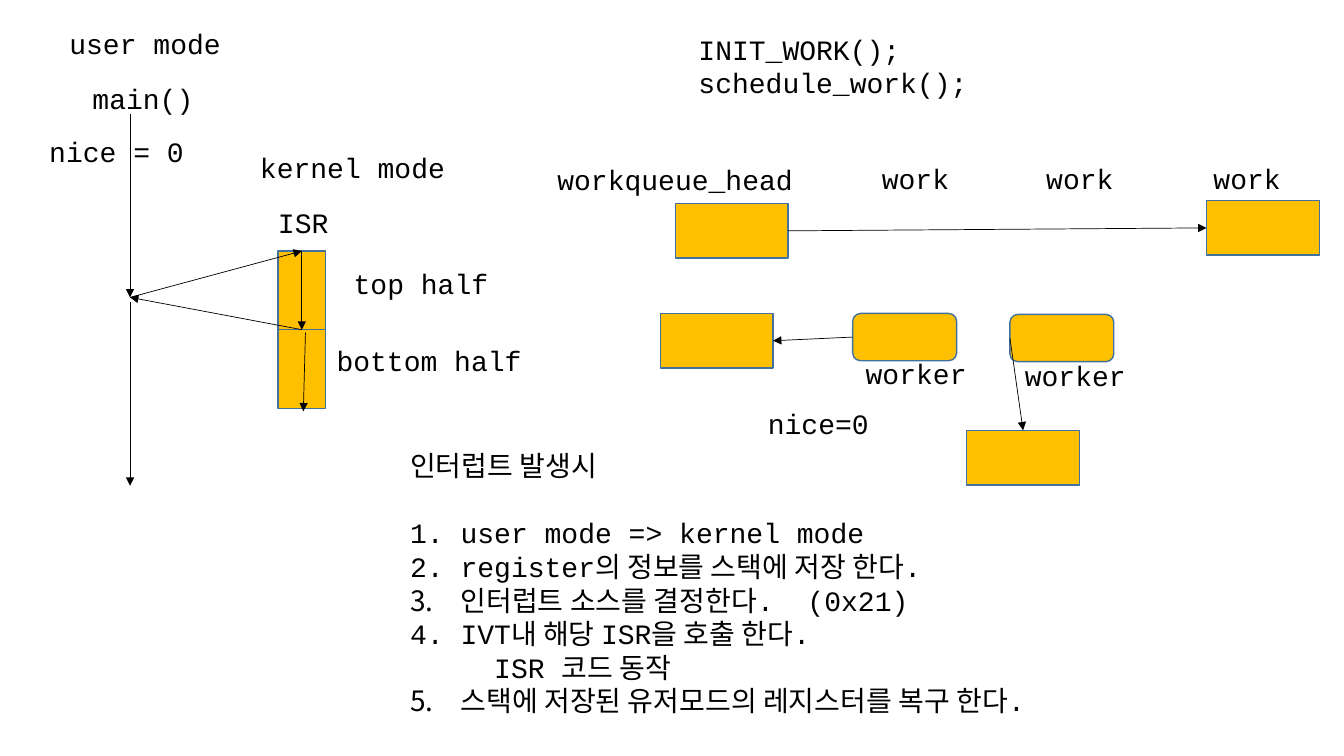
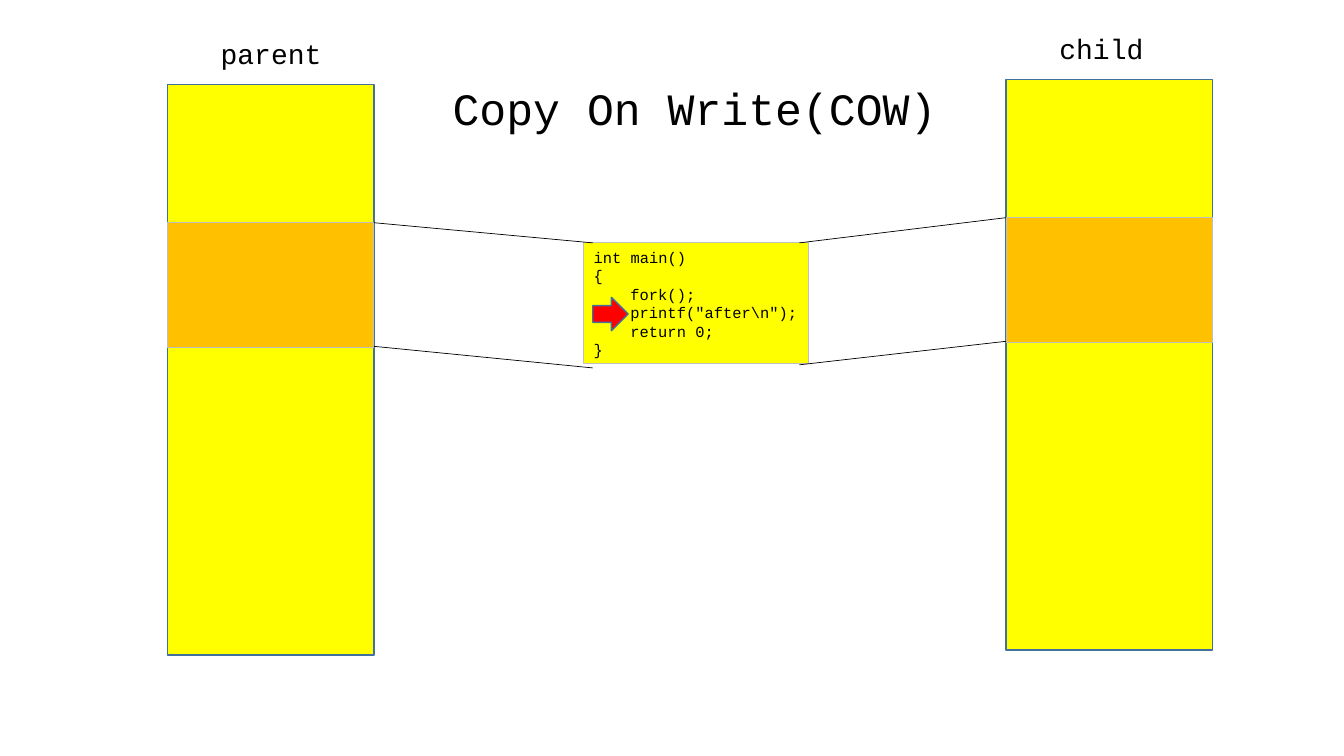
from lxml.etree import SubElement
from pptx import Presentation
from pptx.dml.color import RGBColor
from pptx.enum.shapes import MSO_CONNECTOR, MSO_SHAPE as Preset
from pptx.enum.text import MSO_ANCHOR, MSO_AUTO_SIZE, PP_ALIGN
from pptx.oxml.ns import qn
from pptx.util import Pt

BLACK = RGBColor(0x00, 0x00, 0x00)
ORANGE = RGBColor(0xFF, 0xC0, 0x00)
YELLOW = RGBColor(0xFF, 0xFF, 0x00)
RED = RGBColor(0xFF, 0x00, 0x00)
BLUE = RGBColor(0x41, 0x71, 0x9C)
GREY = RGBColor(0xBF, 0xBF, 0xBF)

FONT = "Courier New"
TEXT_SIZE, TITLE_SIZE, CODE_SIZE = 20, 32, 11
ADVANCE = 0.6  # character width of the fixed-pitch font, per point of size
TITLE_AND_BODY, TITLE_ONLY = 1, 5
TOP, LEFT, BOTTOM, RIGHT = range(4)


class Deck:
    """Holds the common style and the slide being drawn."""

    def __init__(self):
        self.presentation = Presentation()
        self.presentation.slide_width = Pt(960)
        self.presentation.slide_height = Pt(540)
        self.slide = None

    def new_slide(self, layout):
        layouts = self.presentation.slide_layouts
        self.slide = self.presentation.slides.add_slide(layouts[layout])

    def style_text(self, shape, size, wrap=False):
        frame = shape.text_frame
        frame.word_wrap = wrap
        frame.auto_size = MSO_AUTO_SIZE.NONE
        frame.vertical_anchor = MSO_ANCHOR.TOP
        for paragraph in frame.paragraphs:
            paragraph.alignment = PP_ALIGN.LEFT
            paragraph.space_before = Pt(0)
            for run in paragraph.runs:
                run.font.name = FONT
                run.font.size = Pt(size)
                run.font.color.rgb = BLACK

    def place(self, shape, left, top, width, height):
        shape.left, shape.top = Pt(left), Pt(top)
        shape.width, shape.height = Pt(width), Pt(height)

    def indent(self, paragraph, margin, hanging=0):
        properties = paragraph._p.get_or_add_pPr()
        properties.set("marL", str(Pt(margin)))
        properties.set("indent", str(-Pt(hanging)))
        return properties

    def title(self, text, left, top, width, height):
        shape = self.slide.shapes.title
        self.place(shape, left, top, width, height)
        shape.text_frame.text = text
        self.style_text(shape, TITLE_SIZE)

    def steps(self, heading, items, left, top, width, height):
        """Fill the body with a heading and (number, text) items; None means unnumbered."""
        title = self.slide.shapes.title
        title.element.getparent().remove(title.element)
        body = self.slide.placeholders[1]
        self.place(body, left, top, width, height)
        body.text_frame.text = "\n".join([heading] + [text for _, text in items])
        self.style_text(body, TEXT_SIZE, wrap=True)
        first, *rest = body.text_frame.paragraphs
        SubElement(self.indent(first, 0), qn("a:buNone"))
        rest[0].space_before = Pt(24)
        for paragraph, (number, _) in zip(rest, items):
            if number is None:
                SubElement(self.indent(paragraph, 60), qn("a:buNone"))
                continue
            properties = self.indent(paragraph, 36, hanging=36)
            SubElement(properties, qn("a:buFont"), typeface=FONT)
            SubElement(properties, qn("a:buAutoNum"),
                       type="arabicPeriod", startAt=str(number))

    def label(self, text, left, top):
        lines = text.split("\n")
        width = max(map(len, lines)) * ADVANCE * TEXT_SIZE + 14.4
        shape = self.slide.shapes.add_textbox(
            Pt(left), Pt(top), Pt(width), Pt(8 + 23.5 * len(lines)))
        shape.text_frame.text = text
        self.style_text(shape, TEXT_SIZE)

    def code(self, lines, left, top, width, height):
        """Draw a listing from (depth, text) lines."""
        shape = self.slide.shapes.add_textbox(Pt(left), Pt(top), Pt(width), Pt(height))
        self.paint(shape, YELLOW, GREY, 0.75)
        shape.text_frame.text = "\n".join(text for _, text in lines)
        self.style_text(shape, CODE_SIZE)
        for paragraph, (depth, _) in zip(shape.text_frame.paragraphs, lines):
            self.indent(paragraph, depth * 4 * ADVANCE * CODE_SIZE)

    def paint(self, shape, fill, line, weight):
        shape.fill.solid()
        shape.fill.fore_color.rgb = fill
        shape.line.color.rgb = line
        shape.line.width = Pt(weight)

    def box(self, left, top, width, height, fill=ORANGE, line=BLUE, weight=1,
            preset=Preset.RECTANGLE):
        shape = self.slide.shapes.add_shape(
            preset, Pt(left), Pt(top), Pt(width), Pt(height))
        shape.shadow.inherit = False
        self.paint(shape, fill, line, weight)
        return shape

    def line(self, x1, y1, x2, y2, arrow=False):
        connector = self.slide.shapes.add_connector(
            MSO_CONNECTOR.STRAIGHT, Pt(x1), Pt(y1), Pt(x2), Pt(y2))
        connector.line.color.rgb = BLACK
        connector.line.width = Pt(0.5)
        if arrow:
            SubElement(connector.line._get_or_add_ln(), qn("a:tailEnd"), type="triangle")
        SubElement(connector._element.spPr, qn("a:effectLst"))
        return connector

    def join(self, source, source_side, target, target_side):
        connector = self.line(0, 0, 0, 0, arrow=True)
        connector.begin_connect(source, source_side)
        connector.end_connect(target, target_side)


def draw_interrupt(deck):
    deck.new_slide(TITLE_AND_BODY)
    deck.steps("인터럽트 발생시", [
        (1, "user mode => kernel mode"),
        (2, "register의 정보를 스택에 저장 한다."),
        (3, "인터럽트 소스를 결정한다.  (0x21)"),
        (4, "IVT내 해당 ISR을 호출 한다."),
        (None, "ISR 코드 동작"),
        (5, "스택에 저장된 유저모드의 레지스터를 복구 한다."),
    ], 285.8, 316.8, 503.3, 199.4)

    half_height = 56.2
    top_half, _ = [deck.box(198.7, 179.3 + i * half_height, 33.8, half_height)
                   for i in range(2)]
    main_x, interrupt_y = 92.9, 212.4
    deck.line(main_x, 81.4, main_x, interrupt_y, arrow=True)
    deck.line(main_x, 216, main_x, 347, arrow=True)
    deck.line(main_x, interrupt_y, 216, 179, arrow=True).end_connect(top_half, TOP)
    deck.line(216, 235, main_x, interrupt_y, arrow=True).begin_connect(top_half, BOTTOM)
    deck.join(top_half, TOP, top_half, BOTTOM)
    deck.line(218.2, 237.6, 216.7, 293.8, arrow=True)

    queue_head, last_work, first_taken, second_taken = [
        deck.box(left, top, 80.6, 39) for left, top in
        [(482.4, 145.4), (861.8, 143.3), (471.6, 223.9), (690.5, 307.4)]]
    first_worker, second_worker = [
        deck.box(left, top, 74.2, 33.8, preset=Preset.ROUNDED_RECTANGLE)
        for left, top in [(609.1, 223.9), (721.4, 224.6)]]
    deck.join(queue_head, RIGHT, last_work, LEFT)
    deck.join(first_worker, LEFT, first_taken, RIGHT)
    deck.join(second_worker, LEFT, second_taken, TOP)

    for text, left, top in [
        ("user mode", 42.5, 15.1),
        ("main()", 59, 54.7),
        ("nice = 0", 28.1, 92.2),
        ("kernel mode", 178.6, 103.7),
        ("ISR", 191.5, 143.3),
        ("top half", 245.5, 186.5),
        ("bottom half", 233.3, 241.9),
        ("INIT_WORK();\nschedule_work();", 491.8, 19.4),
        ("workqueue_head", 391, 112.3),
        ("work", 622.8, 111.6),
        ("work", 740.2, 111.6),
        ("work", 859.7, 111.6),
        ("worker", 611.3, 251.3),
        ("worker", 725, 252.7),
        ("nice=0", 541.4, 286.6),
    ]:
        deck.label(text, left, top)


def draw_copy_on_write(deck):
    deck.new_slide(TITLE_ONLY)
    deck.title("Copy On Write(COW)", 316.1, 54, 361.4, 84.2)
    deck.code([
        (0, "int main()"),
        (0, "{"),
        (1, "fork();"),
        (1, 'printf("after\\n");'),
        (1, "return 0;"),
        (0, "}"),
    ], 416.9, 173.5, 160.6, 86.4)
    deck.box(423.4, 212.4, 25.2, 23.8, fill=RED, preset=Preset.RIGHT_ARROW)

    width, page_offset, page_height = 147.6, 98.6, 89.3
    for name, left, top, inner_edge, code_x, code_bottom in [
        ("parent", 119.5, 60.5, 119.5 + width, 423.4, 262.8),
        ("child", 718.6, 56.9, 718.6, 571, 260.6),
    ]:
        page_top = top + page_offset
        deck.label(name, left + 31, top - 37.8)
        deck.box(left, top, width, 407.5, fill=YELLOW)
        deck.box(left, page_top, width, page_height, line=GREY, weight=0.75)
        deck.line(inner_edge, page_top, code_x, 173.5)
        deck.line(inner_edge, page_top + page_height - 1, code_x, code_bottom)


def main():
    deck = Deck()
    draw_interrupt(deck)
    draw_copy_on_write(deck)
    deck.presentation.save("out.pptx")


if __name__ == "__main__":
    main()
